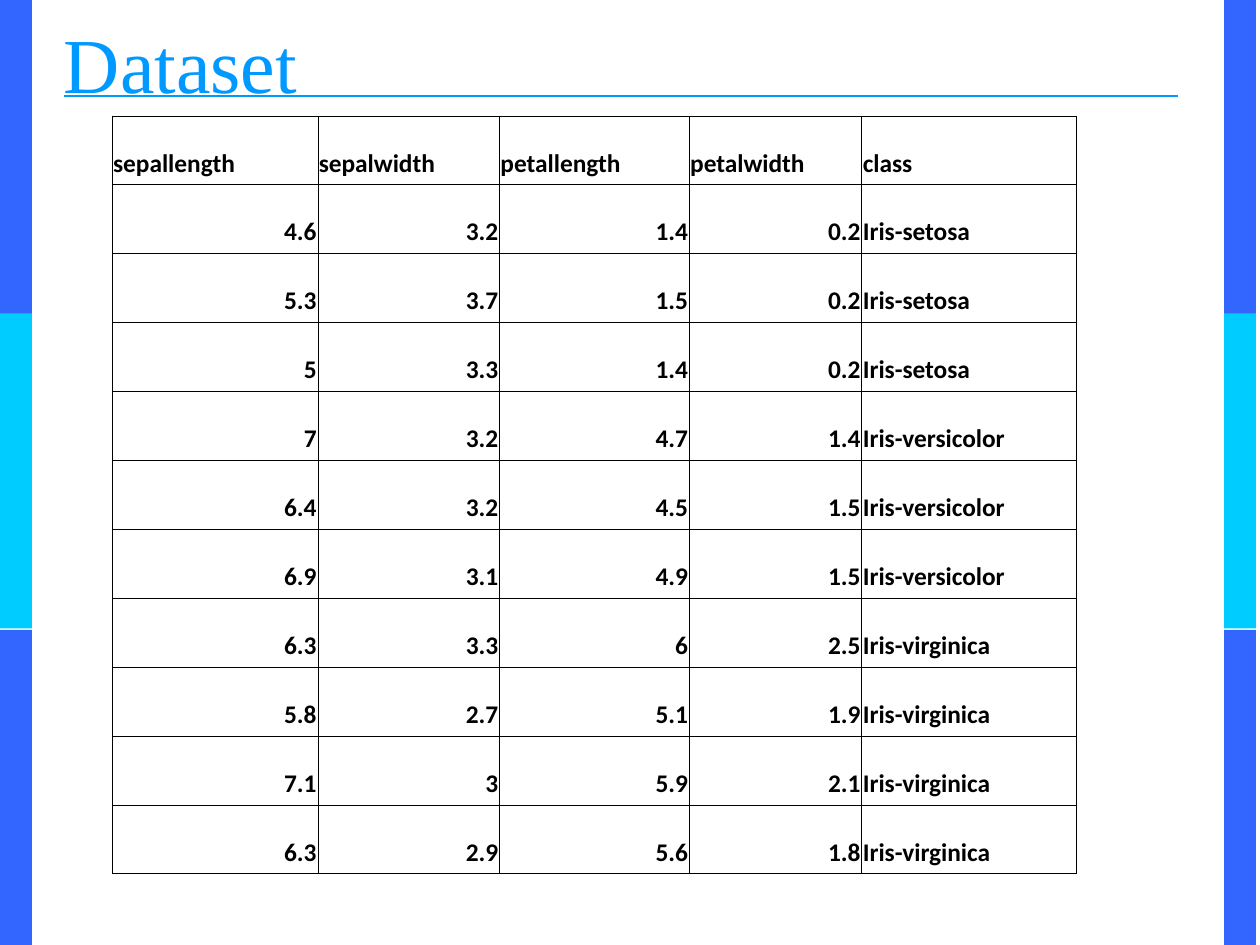
from dataclasses import dataclass

from lxml.etree import SubElement
from pptx import Presentation
from pptx.dml.color import RGBColor
from pptx.enum.shapes import MSO_CONNECTOR, MSO_SHAPE
from pptx.enum.text import MSO_ANCHOR, MSO_AUTO_SIZE, PP_ALIGN
from pptx.oxml.ns import qn
from pptx.util import Emu, Inches, Pt


@dataclass(frozen=True)
class Theme:
    blue: str = "3366FF"
    cyan: str = "00CCFF"
    accent: str = "0099FF"
    ink: str = "000000"
    title_font: str = "Times New Roman"
    table_font: str = "Calibri"
    title_size: float = 49
    table_size: float = 16
    rule_width: float = 1.5
    border_width: float = 0.23


PAGE_WIDTH, PAGE_HEIGHT = Emu(10080625), Emu(7559675)
COLUMN, ROW = Inches(0.28), PAGE_HEIGHT / 12
COLUMN_SHARES = (180, 159, 166, 151, 188)
HEADER = ("sepallength", "sepalwidth", "petallength", "petalwidth", "class")
FLOWERS = (
    ("4.6", "3.2", "1.4", "0.2", "Iris-setosa"),
    ("5.3", "3.7", "1.5", "0.2", "Iris-setosa"),
    ("5", "3.3", "1.4", "0.2", "Iris-setosa"),
    ("7", "3.2", "4.7", "1.4", "Iris-versicolor"),
    ("6.4", "3.2", "4.5", "1.5", "Iris-versicolor"),
    ("6.9", "3.1", "4.9", "1.5", "Iris-versicolor"),
    ("6.3", "3.3", "6", "2.5", "Iris-virginica"),
    ("5.8", "2.7", "5.1", "1.9", "Iris-virginica"),
    ("7.1", "3", "5.9", "2.1", "Iris-virginica"),
    ("6.3", "2.9", "5.6", "1.8", "Iris-virginica"),
)


def across(columns):
    return Emu(round(columns * COLUMN))


def down(rows):
    return Emu(round(rows * ROW))


def area(left, top, width, height):
    return across(left), down(top), across(width), down(height)


def write(frame, text, *, font, size, color, bold=False, align=PP_ALIGN.LEFT, spacing=1.0):
    para = frame.paragraphs[0]
    para.alignment = align
    para.line_spacing = spacing
    span = para.add_run()
    span.text = text
    span.font.name = font
    span.font.size = Pt(size)
    span.font.bold = bold
    span.font.color.rgb = RGBColor.from_string(color)


class SlideBuilder:
    def __init__(self, page, theme):
        self.page = page
        self.theme = theme

    def bar(self, left, top, width, height, color):
        box = self.page.shapes.add_shape(MSO_SHAPE.RECTANGLE, *area(left, top, width, height))
        box.shadow.inherit = False
        box.fill.solid()
        box.fill.fore_color.rgb = RGBColor.from_string(color)
        box.line.fill.background()

    def rule(self, left, right, top):
        line = self.page.shapes.add_connector(
            MSO_CONNECTOR.STRAIGHT, across(left), down(top), across(right), down(top)
        )
        line.line.color.rgb = RGBColor.from_string(self.theme.accent)
        line.line.width = Pt(self.theme.rule_width)
        SubElement(line._element.spPr, qn("a:effectLst"))

    def title(self, text, left, top, width, height):
        box = self.page.shapes.title
        box.left, box.top, box.width, box.height = area(left, top, width, height)
        frame = box.text_frame
        frame.auto_size = MSO_AUTO_SIZE.NONE
        frame.word_wrap = True
        frame.vertical_anchor = MSO_ANCHOR.MIDDLE
        frame.margin_left = frame.margin_right = frame.margin_bottom = 0
        frame.margin_top = Inches(0.04)
        write(frame, text, font=self.theme.title_font, size=self.theme.title_size,
              color=self.theme.accent, spacing=0.93)

    def table(self, records, shares, left, top, width, height):
        table = self.page.shapes.add_table(
            len(records), len(shares), *area(left, top, width, height)
        ).table
        table.first_row = table.horz_banding = False
        for column, share in zip(table.columns, shares):
            column.width = across(width * share / sum(shares))
        for row, record in zip(table.rows, records):
            row.height = down(height / len(records))
            for cell, value in zip(row.cells, record):
                self.cell(cell, value)

    def cell(self, cell, value):
        cell.margin_left = cell.margin_right = Inches(0.01)
        cell.margin_top = cell.margin_bottom = Inches(0.05)
        cell.vertical_anchor = MSO_ANCHOR.BOTTOM
        self.borders(cell)
        cell.fill.background()
        write(cell.text_frame, value, font=self.theme.table_font, size=self.theme.table_size,
              color=self.theme.ink, bold=True,
              align=PP_ALIGN.RIGHT if value[0].isdigit() else PP_ALIGN.LEFT)

    def borders(self, cell):
        properties = cell._tc.get_or_add_tcPr()
        for side in ("L", "R", "T", "B"):
            edge = SubElement(properties, qn(f"a:ln{side}"), w=str(Pt(self.theme.border_width)))
            fill = SubElement(edge, qn("a:solidFill"))
            SubElement(fill, qn("a:srgbClr"), val=self.theme.ink)


def main():
    deck = Presentation()
    deck.slide_width, deck.slide_height = PAGE_WIDTH, PAGE_HEIGHT
    theme = Theme()
    builder = SlideBuilder(deck.slides.add_slide(deck.slide_layouts[5]), theme)
    for left in (0, 38.25):
        for top, color in ((0, theme.blue), (3.98, theme.cyan), (8, theme.blue)):
            builder.bar(left, top, 1, 4, color)
    builder.rule(2, 36.8, 1.22)
    builder.title("Dataset", 2, 0.45, 35.43, 0.75)
    builder.table((HEADER, *FLOWERS), COLUMN_SHARES, 3.5, 1.47, 30.14, 9.63)
    deck.save("out.pptx")


if __name__ == "__main__":
    main()
